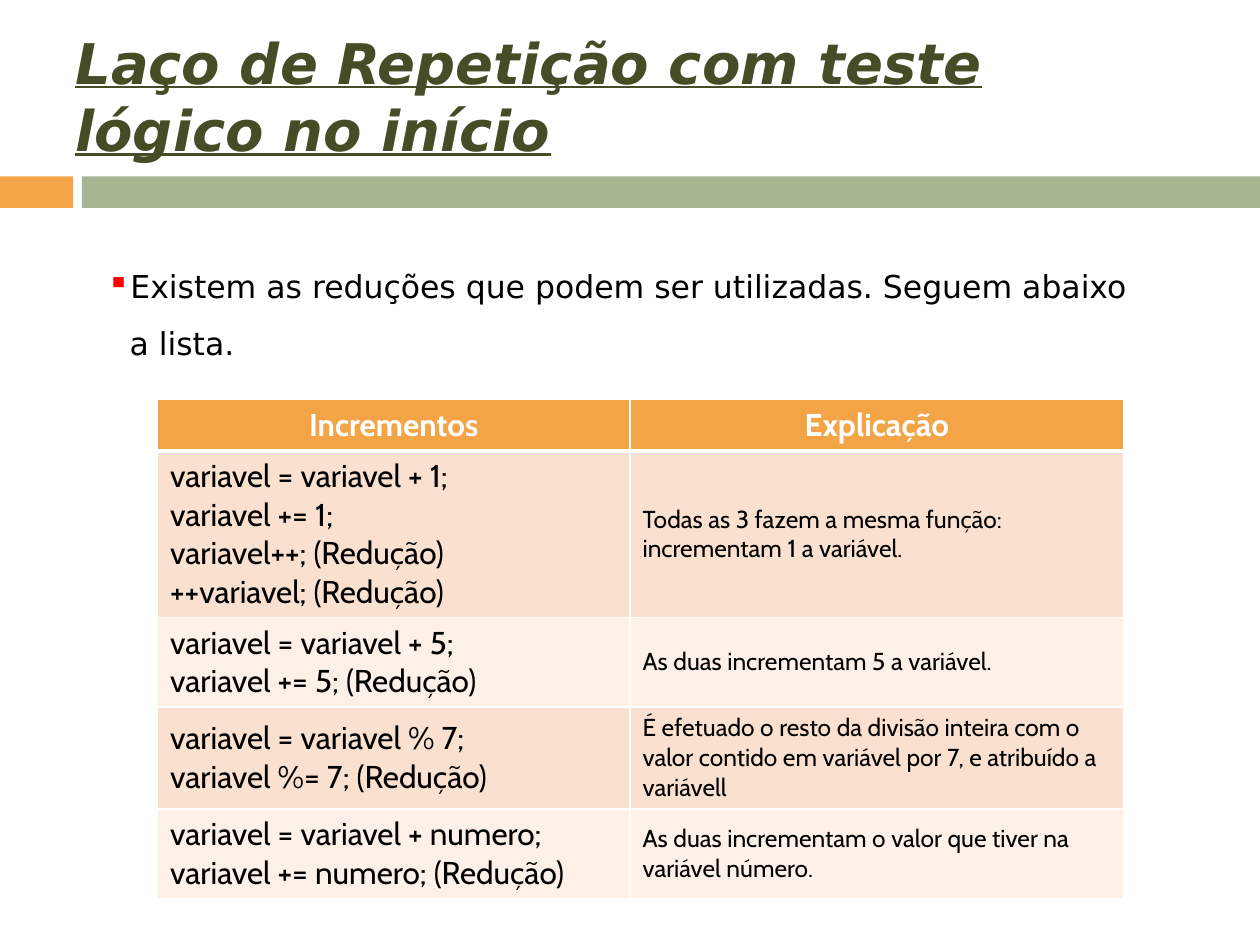
import pptx
import pptx.dml.color
import pptx.enum.shapes
import pptx.enum.text
import pptx.oxml
import pptx.oxml.ns
import pptx.util

RGBColor = pptx.dml.color.RGBColor
Alignment = pptx.enum.text.PP_ALIGN
Anchor = pptx.enum.text.MSO_ANCHOR

WHITE = RGBColor(0xFF, 0xFF, 0xFF)
BLACK = RGBColor(0x00, 0x00, 0x00)
RED = RGBColor(0xFF, 0x00, 0x00)
ORANGE = RGBColor(0xF3, 0xA4, 0x47)
SAGE = RGBColor(0xA5, 0xB5, 0x92)
OLIVE = RGBColor(0x44, 0x4D, 0x26)
BANDS = (RGBColor(0xFA, 0xE0, 0xCF), RGBColor(0xFD, 0xF0, 0xE9))

TITLE_FONT = "DejaVu Sans"
TABLE_FONT = "Cabin"

COLUMN_WIDTHS = (3.75, 3.92)
HEADINGS = ("Incrementos", "Explicação")
# Each row: height in inches, code lines, explanation
ROWS = (
    (1.32,
     ("variavel = variavel + 1;", "variavel += 1;",
      "variavel++; (Redução)", "++variavel; (Redução)"),
     "Todas as 3 fazem a mesma função: incrementam 1 a variável."),
    (0.71,
     ("variavel = variavel + 5;", "variavel += 5; (Redução)"),
     "As duas incrementam 5 a variável."),
    (0.81,
     ("variavel = variavel % 7;", "variavel %= 7; (Redução)"),
     "É efetuado o resto da divisão inteira com o valor contido em "
     "variável por 7, e atribuído a variávell"),
    (0.71,
     ("variavel = variavel + numero;", "variavel += numero; (Redução)"),
     "As duas incrementam o valor que tiver na variável número."),
)
HEADER_HEIGHT = 0.41


class SlideBuilder:
    """Holds the slide and its style; the grid unit is one inch."""

    def __init__(self, presentation):
        self.slide = presentation.slides.add_slide(presentation.slide_layouts[6])

    def box(self, *lengths):
        return [pptx.util.Inches(length) for length in lengths]

    def bar(self, left, top, width, height, color):
        shape = self.slide.shapes.add_shape(
            pptx.enum.shapes.MSO_SHAPE.RECTANGLE, *self.box(left, top, width, height))
        shape.shadow.inherit = False
        shape.fill.solid()
        shape.fill.fore_color.rgb = color
        shape.line.fill.background()

    def run(self, paragraph, text, font, size, color, bold=False):
        run = paragraph.add_run()
        run.text = text
        run.font.name = font
        run.font.size = pptx.util.Pt(size)
        run.font.color.rgb = color
        run.font.bold = bold
        return run

    def text_frame(self, left, top, width, height, anchor):
        frame = self.slide.shapes.add_textbox(
            *self.box(left, top, width, height)).text_frame
        frame.word_wrap = True
        frame.vertical_anchor = anchor
        return frame

    def title(self, text, *place):
        paragraph = self.text_frame(*place, Anchor.MIDDLE).paragraphs[0]
        run = self.run(paragraph, text, TITLE_FONT, 32, OLIVE, bold=True)
        run.font.italic = True
        run.font.underline = True

    def bullet(self, text, *place):
        paragraph = self.text_frame(*place, Anchor.TOP).paragraphs[0]
        paragraph.line_spacing = 1.5
        paragraph.space_before = pptx.util.Pt(3.6)
        self.run(paragraph, text, TITLE_FONT, 18, BLACK)
        properties = paragraph._p.get_or_add_pPr()
        indent = pptx.util.Inches(0.18)
        properties.set("marL", str(indent))
        properties.set("indent", str(-indent))
        namespace = pptx.oxml.ns.nsdecls("a")
        for markup in (
                f'<a:buClr {namespace}><a:srgbClr val="{RED}"/></a:buClr>',
                f'<a:buChar {namespace} char="▪"/>'):
            properties.append(pptx.oxml.parse_xml(markup))

    def cell(self, cell, lines, size, color, fill, heading=False, borders=None):
        cell.fill.solid()
        cell.fill.fore_color.rgb = fill
        cell.vertical_anchor = Anchor.TOP if heading else Anchor.MIDDLE
        frame = cell.text_frame
        for index, line in enumerate(lines):
            paragraph = frame.add_paragraph() if index else frame.paragraphs[0]
            paragraph.alignment = Alignment.CENTER if heading else Alignment.LEFT
            self.run(paragraph, line, TABLE_FONT, size, color, bold=heading)
        properties = cell._tc.get_or_add_tcPr()
        for index, (side, points) in enumerate(borders.items()):
            properties.insert(index, pptx.oxml.parse_xml(
                f'<a:ln{side} {pptx.oxml.ns.nsdecls("a")} w="{pptx.util.Pt(points)}">'
                f'<a:solidFill><a:srgbClr val="{WHITE}"/></a:solidFill></a:ln{side}>'))

    def table(self, left, top):
        heights = (HEADER_HEIGHT, *(row[0] for row in ROWS))
        table = self.slide.shapes.add_table(
            len(heights), len(COLUMN_WIDTHS),
            *self.box(left, top, sum(COLUMN_WIDTHS), sum(heights))).table
        for column, width in zip(table.columns, COLUMN_WIDTHS):
            column.width = pptx.util.Inches(width)
        for row, height in zip(table.rows, heights):
            row.height = pptx.util.Inches(height)

        # Header row, with a thick rule below it
        for index, heading in enumerate(HEADINGS):
            self.cell(table.cell(0, index), [heading], 18, WHITE, ORANGE,
                      heading=True, borders={"L": 1, "R": 1, "T": 1, "B": 3})

        # Banded body rows
        for index, (_, code, explanation) in enumerate(ROWS):
            fill = BANDS[index % 2]
            borders = {"L": 1, "R": 1, "T": 1 if index else 3, "B": 1}
            self.cell(table.cell(index + 1, 0), code, 18, BLACK, fill, borders=borders)
            self.cell(table.cell(index + 1, 1), [explanation], 14, BLACK, fill,
                      borders=borders)


def main():
    presentation = pptx.Presentation()
    presentation.slide_width = pptx.util.Inches(10)
    presentation.slide_height = pptx.util.Inches(7.5)
    builder = SlideBuilder(presentation)

    # Divider bars
    builder.bar(0, 1.4, 0.58, 0.25, ORANGE)
    builder.bar(0.65, 1.4, 9.35, 0.25, SAGE)

    # Title and introduction
    builder.title("Laço de Repetição com teste lógico no início", 0.5, 0.17, 9, 1.18)
    builder.bullet("Existem as reduções que podem ser utilizadas. "
                   "Seguem abaixo a lista.", 0.75, 1.92, 8.42, 1)

    # Increment table
    builder.table(1.25, 3.17)

    presentation.save("out.pptx")


if __name__ == "__main__":
    main()
